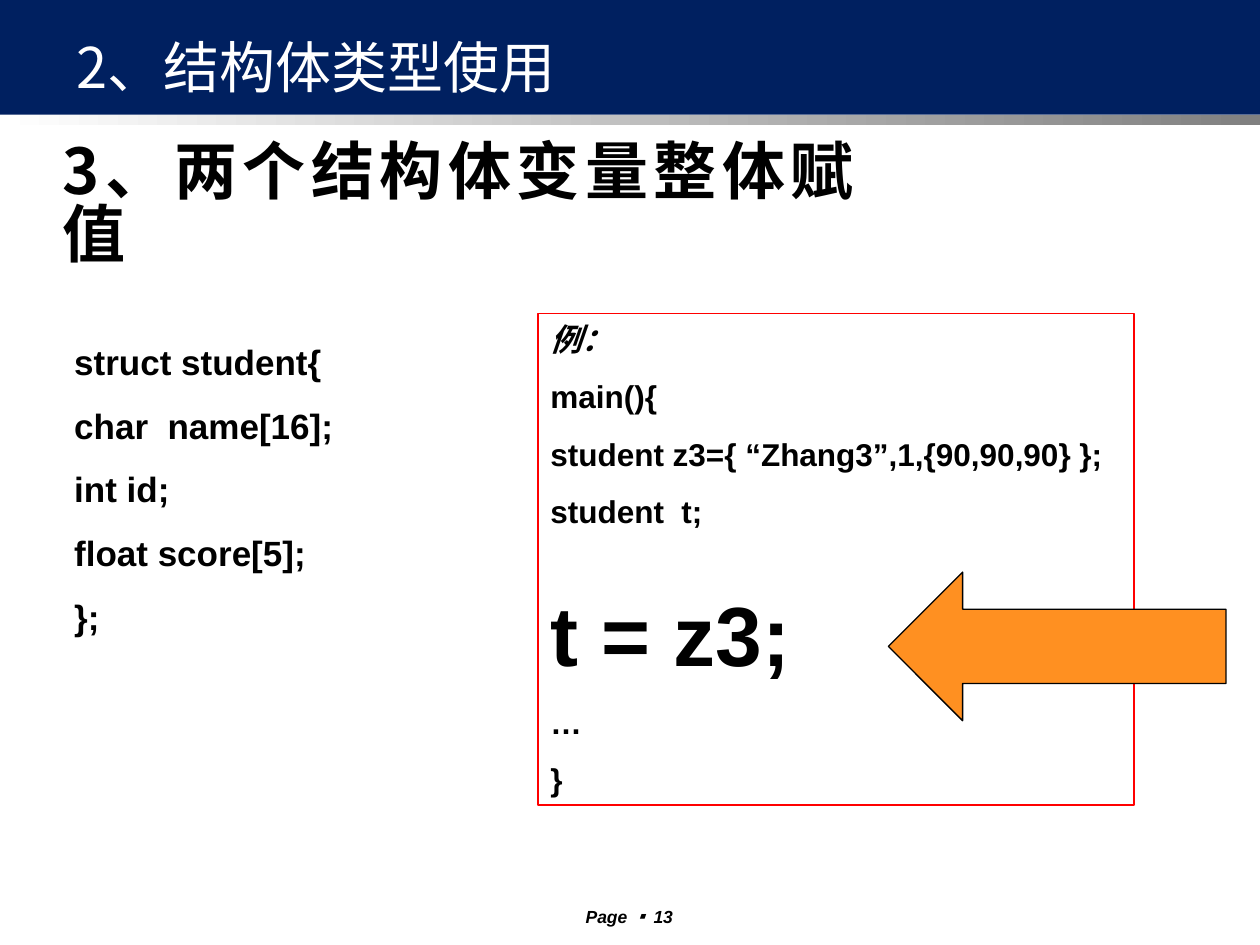
from dataclasses import dataclass

from lxml import etree
from pptx import Presentation
from pptx.dml.color import RGBColor
from pptx.enum.shapes import MSO_SHAPE
from pptx.enum.text import MSO_ANCHOR, PP_ALIGN
from pptx.oxml.ns import qn
from pptx.util import Inches, Pt

RECT, ARROW = MSO_SHAPE.RECTANGLE, MSO_SHAPE.LEFT_ARROW
TOP, MIDDLE = MSO_ANCHOR.TOP, MSO_ANCHOR.MIDDLE
LEFT, CENTER, JUSTIFY = PP_ALIGN.LEFT, PP_ALIGN.CENTER, PP_ALIGN.JUSTIFY
COLS, ROWS, CELL = 100, 75, Inches(0.1)
ARIAL, SANS_JP, SANS_SC = "Arial", "Noto Sans CJK JP", "Noto Sans CJK SC"
BLACK, WHITE, NAVY, GREY, RED, ORANGE = (
    "000000", "FFFFFF", "002060", "808080", "FF0000", "FF9021")


@dataclass
class Area:
    """A block of the grid, in columns and rows."""
    col: float
    row: float
    wide: float
    high: float

    def box(self) -> list[int]:
        """Give the block as left, top, width and height."""
        return [round(n * CELL) for n in (self.col, self.row, self.wide, self.high)]


@dataclass
class Line:
    """One paragraph: its runs as (text, font) pairs, and its format."""
    runs: list[tuple[str, str]]
    size: float
    gap: float = 0
    bold: bool = True
    slant: bool = False


def color(code: str) -> RGBColor:
    """Turn a hex string into a colour."""
    return RGBColor.from_string(code)


def shape(slide, kind, area: Area, fill=None, line=None, fade=None):
    """Draw a preset shape with a plain, faded or empty fill."""
    item = slide.shapes.add_shape(kind, *area.box())
    item.shadow.inherit = False
    if fade:
        item.fill.gradient()
        item.fill.gradient_angle = 0
        for stop, code in zip(item.fill.gradient_stops, fade):
            stop.color.rgb = color(code)
    elif fill:
        item.fill.solid()
        item.fill.fore_color.rgb = color(fill)
    else:
        item.fill.background()
    if line:
        item.line.color.rgb = color(line)
        item.line.width = Pt(0.75)
    else:
        item.line.fill.background()
    return item


def write(item, lines: list[Line], tint=BLACK, align=LEFT, anchor=TOP, pitch=None):
    """Fill the text frame of a shape with formatted lines."""
    frame = item.text_frame
    frame.word_wrap = True
    frame.vertical_anchor = anchor
    for spot, line in enumerate(lines):
        para = frame.add_paragraph() if spot else frame.paragraphs[0]
        para.alignment = align
        if spot:
            para.space_before = Pt(line.gap)
        if pitch:
            para.line_spacing = pitch
        for text, face in line.runs:
            run = para.add_run()
            run.text = text
            font = run.font
            font.name, font.size = face, Pt(line.size)
            font.bold, font.italic = line.bold, line.slant
            font.color.rgb = color(tint)
            east = SANS_SC if face == ARIAL else face
            etree.SubElement(run.font._element, qn("a:ea"), typeface=east)


def label(slide, area: Area, lines: list[Line], **style):
    """Add a text box and write in it."""
    write(slide.shapes.add_textbox(*area.box()), lines, **style)


def code(texts: list[str], size: float, gap: float) -> list[Line]:
    """Make bold code lines of one size."""
    return [Line([(text, ARIAL)], size, gap) for text in texts]


def main():
    """Build the slide and save it."""
    deck = Presentation()
    deck.slide_width, deck.slide_height = COLS * CELL, ROWS * CELL
    slide = deck.slides.add_slide(deck.slide_layouts[6])

    shape(slide, RECT, Area(0, 0, COLS, 9.1), fill=NAVY)
    shape(slide, RECT, Area(0, 9.1, COLS, 0.8), fade=(WHITE, GREY))
    page = [("Page ", ARIAL), ("▪ ", SANS_JP), ("13", ARIAL)]
    label(slide, Area(42.1, 71.4, 15.7, 2.2), [Line(page, 10, slant=True)], align=CENTER)
    label(slide, Area(5.1, 2.1, 89.8, 6.3),
          [Line([("2、结构体类型使用", SANS_JP)], 32, bold=False)],
          tint=WHITE, anchor=MIDDLE)
    label(slide, Area(4, 11, 64.8, 13),
          [Line([("3、两个结构体变量整体赋值", SANS_SC)], 36)],
          align=JUSTIFY, pitch=0.83)

    sample = [
        Line([("例：", ARIAL)], 18, slant=True),
        *code(["main(){", "student z3={ “Zhang3”,1,{90,90,90} };", "student  t;"], 18, 11.2),
        *code(["t = z3;"], 48, 30),
        *code(["…", "}"], 18, 11.2),
    ]
    write(shape(slide, RECT, Area(42.7, 24.9, 47.3, 39), line=RED), sample)
    struct = ["struct student{", "char  name[16];", "int id;", "float score[5];", "};"]
    label(slide, Area(4.9, 26.5, 29.9, 24.6), code(struct, 20, 12.5))
    shape(slide, ARROW, Area(70.5, 45.4, 26.8, 11.8), fill=ORANGE, line=BLACK)

    deck.save("out.pptx")


if __name__ == "__main__":
    main()
